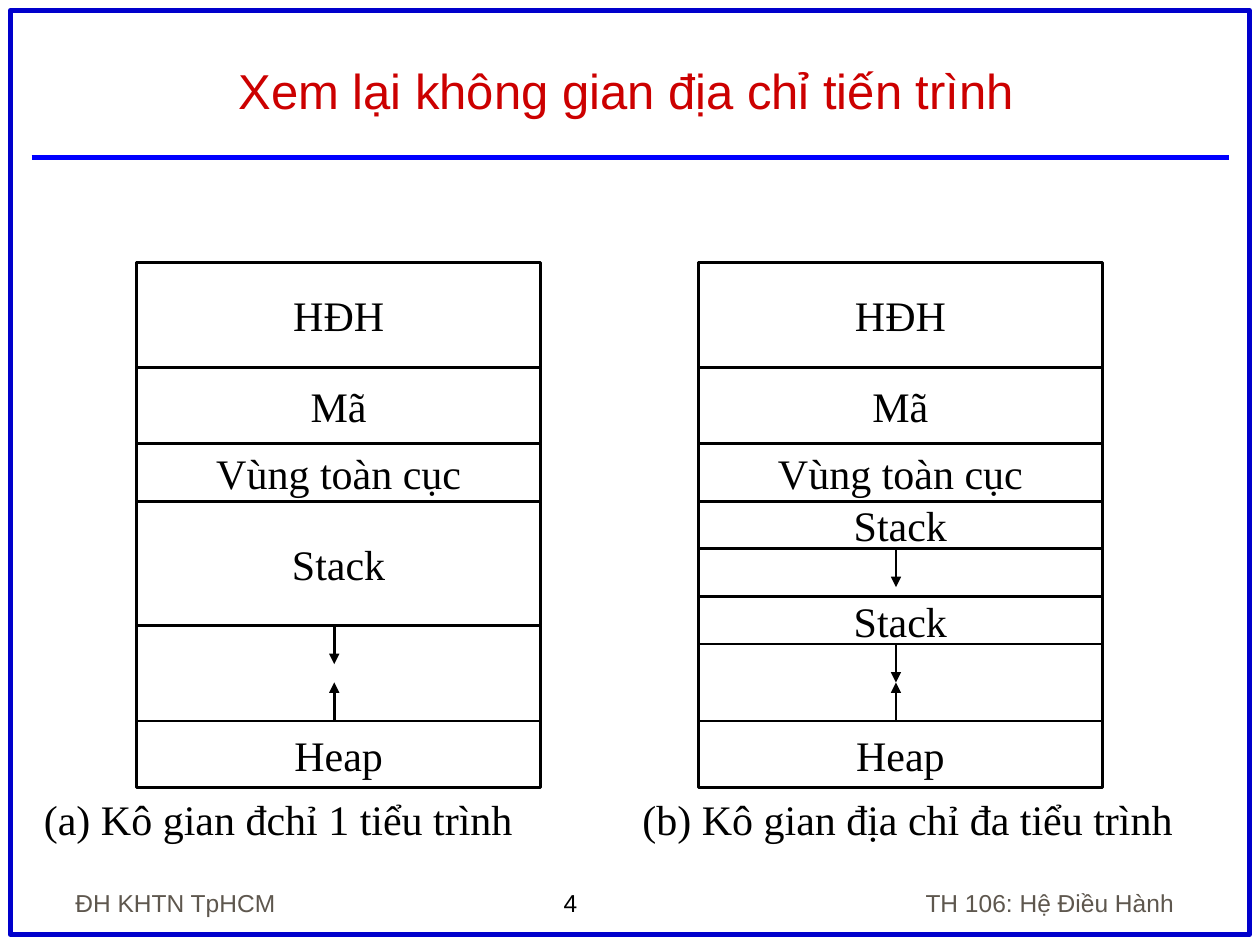
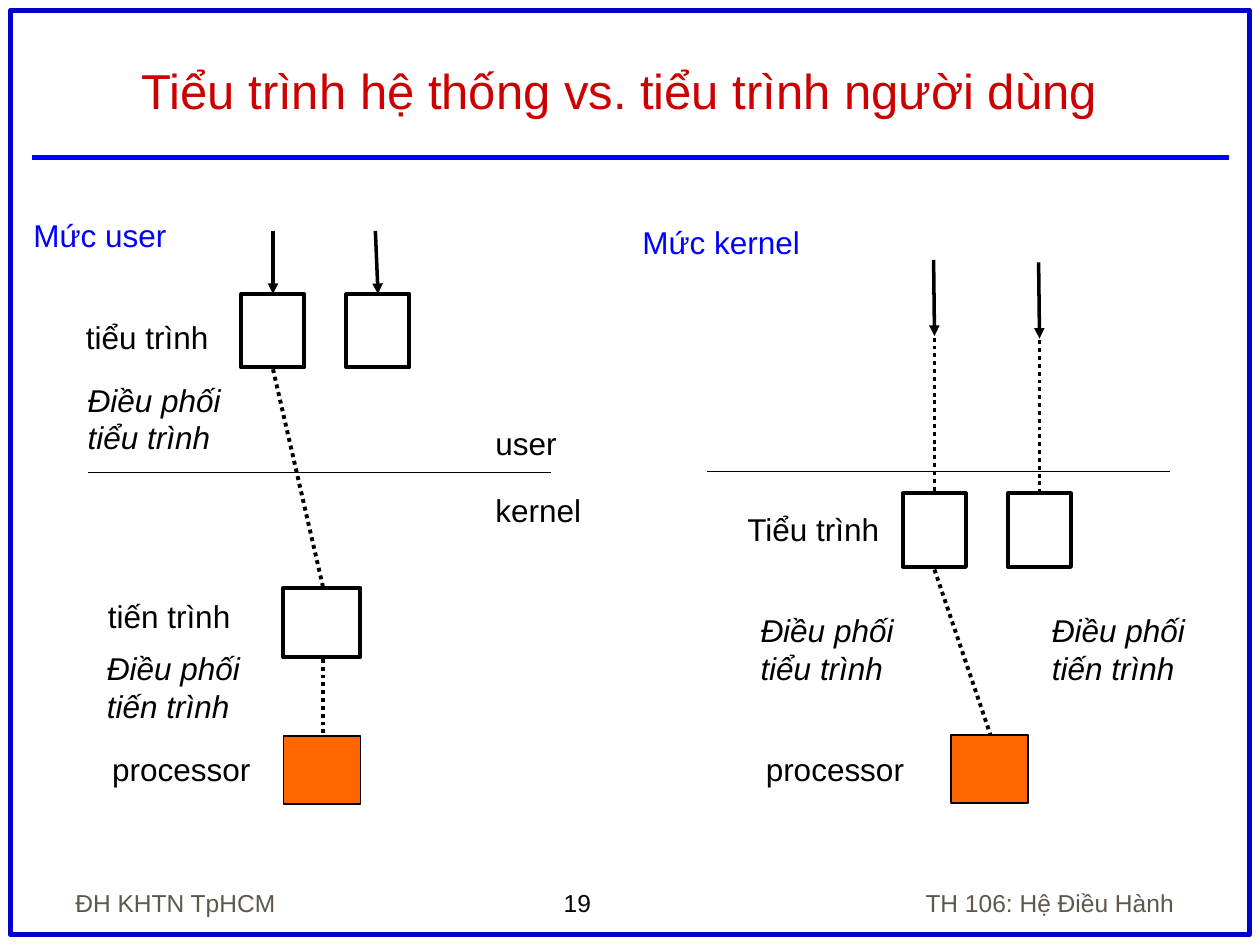
from lxml import etree
from pptx import Presentation
from pptx.dml.color import RGBColor
from pptx.enum.dml import MSO_LINE
from pptx.enum.shapes import MSO_CONNECTOR, MSO_SHAPE
from pptx.enum.text import MSO_ANCHOR, MSO_AUTO_SIZE, PP_ALIGN
from pptx.oxml.ns import qn
from pptx.util import Pt

RECTANGLE = MSO_SHAPE.RECTANGLE
STRAIGHT = MSO_CONNECTOR.STRAIGHT
DOTTED = MSO_LINE.ROUND_DOT
TOP, MIDDLE, BOTTOM = MSO_ANCHOR.TOP, MSO_ANCHOR.MIDDLE, MSO_ANCHOR.BOTTOM
LEFT, CENTER, RIGHT = PP_ALIGN.LEFT, PP_ALIGN.CENTER, PP_ALIGN.RIGHT
NO_AUTOFIT = MSO_AUTO_SIZE.NONE

BLACK = RGBColor(0x00, 0x00, 0x00)
BLUE = RGBColor(0x00, 0x00, 0xFF)
FRAME_BLUE = RGBColor(0x00, 0x00, 0xCC)
RED = RGBColor(0xCC, 0x00, 0x00)
GREY = RGBColor(0x5E, 0x57, 0x4E)
ORANGE = RGBColor(0xFF, 0x66, 0x00)

SANS = "Arial"
SERIF = "Times New Roman"
TITLE_ONLY = 5


class Deck:
    def __init__(self):
        self.presentation = Presentation()
        self.presentation.slide_width = Pt(720)
        self.presentation.slide_height = Pt(540)
        self.page = None

    def add_page(self, title, number):
        layout = self.presentation.slide_layouts[TITLE_ONLY]
        self.page = self.presentation.slides.add_slide(layout)
        heading = self.page.shapes.title
        heading.left, heading.top = Pt(31.5), Pt(18)
        heading.width, heading.height = Pt(652.5), Pt(54)
        self.set_text(heading.text_frame, title, 28, RED, align=CENTER, anchor=BOTTOM)
        self.text(number, 315, 504, 78, 24, 14)
        self.box(6, 6, 708, 528, FRAME_BLUE, 3)
        self.line((18, 90), (702, 90), 3, color=BLUE)
        self.text("ĐH KHTN TpHCM", 36, 492, 150, 36, 14, GREY, anchor=BOTTOM)
        self.text("TH 106: Hệ Điều Hành", 480, 492, 198, 36, 14, GREY,
                  align=RIGHT, anchor=BOTTOM)

    def set_text(self, frame, content, size, color=BLACK, font=SANS, italic=False,
                 align=LEFT, anchor=TOP, wrap=True):
        frame.auto_size = NO_AUTOFIT
        frame.word_wrap = wrap
        frame.vertical_anchor = anchor
        frame.text = content
        for para in frame.paragraphs:
            para.alignment = align
            para.font.name = font
            para.font.size = Pt(size)
            para.font.italic = italic
            para.font.color.rgb = color

    def text(self, content, left, top, width, height, size, color=BLACK, **style):
        box = self.page.shapes.add_textbox(Pt(left), Pt(top), Pt(width), Pt(height))
        self.set_text(box.text_frame, content, size, color, **style)

    def label(self, content, left, top, color=BLACK, italic=False):
        height = 29 * len(content.splitlines())
        self.text(content, left, top, 120, height, 18, color, italic=italic)

    def box(self, left, top, width, height, color=BLACK, weight=2.25, fill=None):
        box = self.page.shapes.add_shape(
            RECTANGLE, Pt(left), Pt(top), Pt(width), Pt(height))
        box.shadow.inherit = False
        box.line.color.rgb = color
        box.line.width = Pt(weight)
        if fill is None:
            box.fill.background()
        else:
            box.fill.solid()
            box.fill.fore_color.rgb = fill
        return box

    def line(self, start, end, weight, color=BLACK, dash=None, arrow=False):
        line = self.page.shapes.add_connector(
            STRAIGHT, *(Pt(value) for value in (*start, *end)))
        line.line.color.rgb = color
        line.line.width = Pt(weight)
        if dash is not None:
            line.line.dash_style = dash
        properties = line._element.spPr
        if arrow:
            outline = properties.find(qn("a:ln"))
            etree.SubElement(outline, qn("a:tailEnd"), type="triangle")
        etree.SubElement(properties, qn("a:effectLst"))

    def memory_map(self, left, regions):
        top, arrow_x = 150, left + 113
        for name, height in regions:
            region = self.box(left, top, 231, height, weight=1.5)
            if name:
                self.set_text(region.text_frame, name, 24, font=SERIF,
                              align=CENTER, anchor=MIDDLE, wrap=False)
            else:
                self.line((arrow_x, top), (arrow_x, top + 22), 1.5, arrow=True)
            if name == "Heap":
                self.line((arrow_x, top), (arrow_x, top - 22), 1.5, arrow=True)
            top += height


def build_address_space(deck):
    deck.add_page("Xem lại không gian địa chỉ tiến trình", "4")
    shared = [("HĐH", 60), ("Mã", 43.5), ("Vùng toàn cục", 33)]
    heap = ("Heap", 38)
    deck.memory_map(78, [*shared, ("Stack", 71), ("", 54.5), heap])
    deck.memory_map(399, [*shared, ("Stack", 27), ("", 27.5),
                          ("Stack", 27), ("", 44), heap])
    deck.text("(a) Kô gian đchỉ 1 tiểu trình", 18, 450, 300, 36, 24, font=SERIF)
    deck.text("(b) Kô gian địa chỉ đa tiểu trình", 360, 450, 340, 36, 24, font=SERIF)


def build_thread_levels(deck):
    deck.add_page("Tiểu trình hệ thống vs. tiểu trình người dùng ", "19")

    for left, top in [(138, 168), (198, 168), (516, 282), (576, 282)]:
        deck.box(left, top, 36, 42)
    deck.box(162, 336, 44, 39.5)
    for left, top in [(162, 420.5), (543.5, 420)]:
        deck.box(left, top, 44, 39, weight=1, fill=ORANGE)

    for left, y in [(50.5, 270), (404, 269.5)]:
        deck.line((left, y), (left + 264.5, y), 1)

    thread_arrows = [
        ((156, 132), (156, 168)),
        ((214.5, 132), (216, 168)),
        ((533.5, 148.5), (534, 192)),
        ((593.5, 150), (594, 193.5)),
    ]
    for start, end in thread_arrows:
        deck.line(start, end, 2, arrow=True)

    mappings = [
        ((156, 211), (184.5, 335)),
        ((184.5, 376.5), (184.5, 420.5)),
        ((534, 193), (534, 281)),
        ((594, 194.5), (594, 281)),
        ((534, 325.5), (566, 420)),
    ]
    for start, end in mappings:
        deck.line(start, end, 2.25, dash=DOTTED)

    deck.label("Mức user", 12, 120, BLUE)
    deck.label("Mức kernel", 360, 124, BLUE)
    names = [
        ("tiểu trình", 42, 178),
        ("user", 276, 238.5),
        ("kernel", 276, 277),
        ("tiến trình", 54.5, 337.5),
        ("processor", 57, 425),
        ("Tiểu trình", 420, 288),
        ("processor", 430.5, 425),
    ]
    for name, left, top in names:
        deck.label(name, left, top)
    schedulers = [
        ("tiểu trình", 43, 214),
        ("tiến trình", 54, 367.5),
        ("tiểu trình", 427.5, 345.5),
        ("tiến trình", 594, 345.5),
    ]
    for target, left, top in schedulers:
        deck.label(f"Điều phối\n{target}", left, top, italic=True)


def main():
    deck = Deck()
    build_address_space(deck)
    build_thread_levels(deck)
    deck.presentation.save("out.pptx")


if __name__ == "__main__":
    main()
